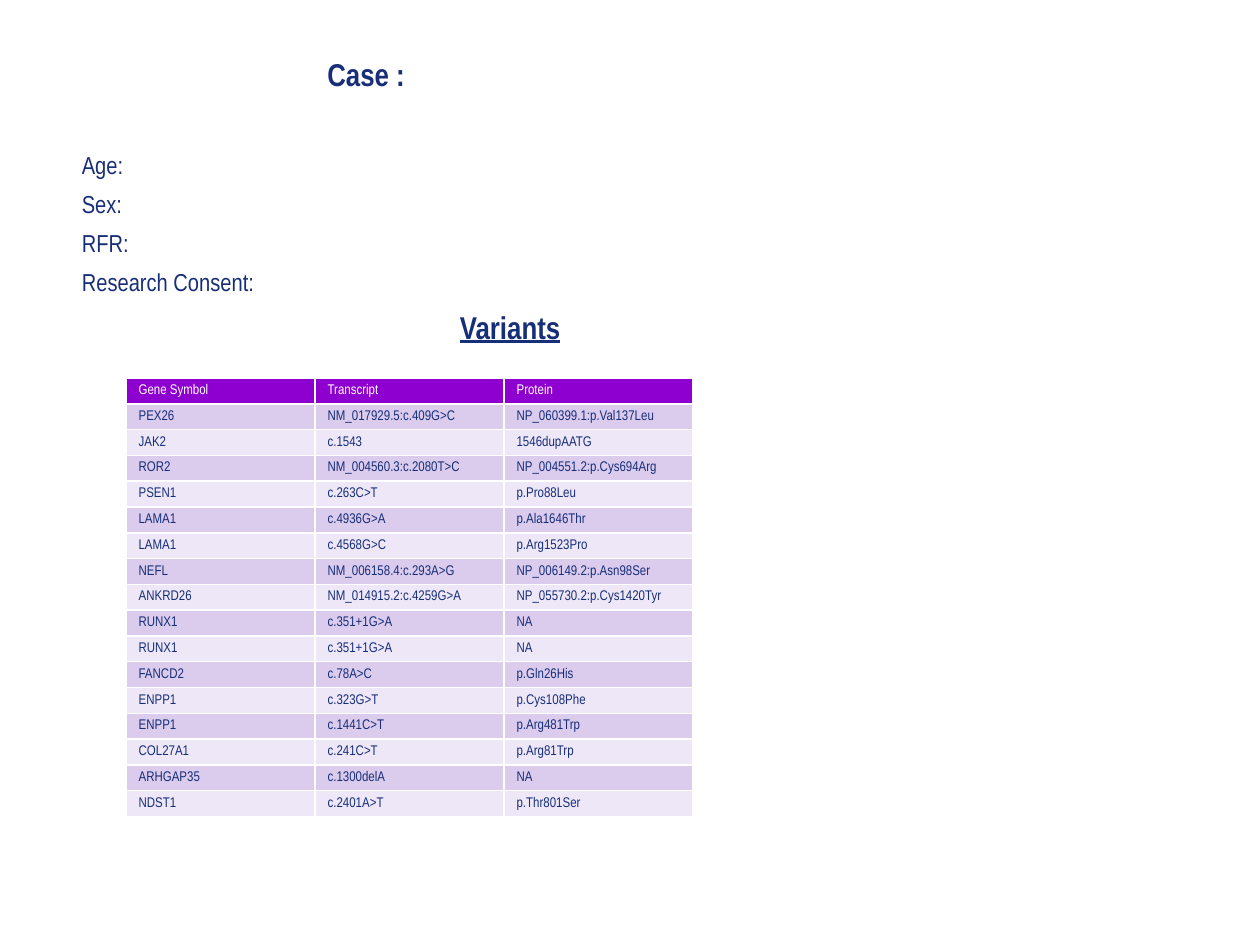
"""Build a case summary slide with a table of gene variants."""
import dataclasses

import pptx
import pptx.dml.color
import pptx.enum.text
import pptx.oxml
import pptx.oxml.ns
import pptx.util

Cm = pptx.util.Cm
Pt = pptx.util.Pt


@dataclasses.dataclass(frozen=True)
class Theme:
    font: str = "Arial Narrow"
    ink: str = "172E78"
    white: str = "FFFFFF"
    head: str = "8D00D0"
    bands: tuple = ("DBCCEE", "EEE7F7")
    big: int = 18
    mid: int = 14
    small: int = 8


THEME = Theme()
TITLE = "Case :"
FIELDS = ["Age:", "Sex:", "RFR:", "Research Consent:"]
SUBHEAD = "Variants"
HEADER = ("Gene Symbol", "Transcript", "Protein")
ROWS = [
    ("PEX26", "NM_017929.5:c.409G>C", "NP_060399.1:p.Val137Leu"),
    ("JAK2", "c.1543", "1546dupAATG"),
    ("ROR2", "NM_004560.3:c.2080T>C", "NP_004551.2:p.Cys694Arg"),
    ("PSEN1", "c.263C>T", "p.Pro88Leu"),
    ("LAMA1", "c.4936G>A", "p.Ala1646Thr"),
    ("LAMA1", "c.4568G>C", "p.Arg1523Pro"),
    ("NEFL", "NM_006158.4:c.293A>G", "NP_006149.2:p.Asn98Ser"),
    ("ANKRD26", "NM_014915.2:c.4259G>A", "NP_055730.2:p.Cys1420Tyr"),
    ("RUNX1", "c.351+1G>A", "NA"),
    ("RUNX1", "c.351+1G>A", "NA"),
    ("FANCD2", "c.78A>C", "p.Gln26His"),
    ("ENPP1", "c.323G>T", "p.Cys108Phe"),
    ("ENPP1", "c.1441C>T", "p.Arg481Trp"),
    ("COL27A1", "c.241C>T", "p.Arg81Trp"),
    ("ARHGAP35", "c.1300delA", "NA"),
    ("NDST1", "c.2401A>T", "p.Thr801Ser"),
]


def color(code):
    return pptx.dml.color.RGBColor.from_string(code)


def write(para, text, size, ink=THEME.ink, bold=False, under=False):
    run = para.add_run()
    run.text = text
    font = run.font
    font.name, font.size = THEME.font, Pt(size)
    font.bold, font.underline = bold, under
    font.color.rgb = color(ink)


def indent(para, left):
    props = para._p.get_or_add_pPr()
    props.set("marL", str(Cm(left)))
    props.set("indent", "0")


def add_box(slide, left, top, width, height):
    box = slide.shapes.add_textbox(Cm(left), Cm(top), Cm(width), Cm(height))
    box.text_frame.word_wrap = True
    return box.text_frame


def add_title(slide):
    frame = add_box(slide, 1.27, 0.76, 22.86, 1.57)
    frame.vertical_anchor = pptx.enum.text.MSO_ANCHOR.MIDDLE
    para = frame.paragraphs[0]
    para.line_spacing = 0.9
    indent(para, 5.08)
    write(para, TITLE, THEME.big, bold=True)


def add_body(slide):
    frame = add_box(slide, 1.4, 2.11, 22.86, 14.05)
    frame.margin_top = Cm(0.99)
    for num, text in enumerate(FIELDS + [SUBHEAD]):
        para = frame.add_paragraph() if num else frame.paragraphs[0]
        para.line_spacing = 0.9
        if text == SUBHEAD:
            para.space_before = Pt(9.3)
            indent(para, 7.62)
            write(para, text, THEME.big, bold=True, under=True)
        else:
            para.space_before = Pt(7 if num else 0)
            write(para, text, THEME.mid)


def edge(cell):
    props = cell._tc.get_or_add_tcPr()
    for spot, side in enumerate(("lnL", "lnR", "lnT", "lnB")):
        props.insert(spot, pptx.oxml.parse_xml(
            f'<a:{side} {pptx.oxml.ns.nsdecls("a")} w="{Pt(1)}"><a:solidFill>'
            f'<a:srgbClr val="{THEME.white}"/></a:solidFill></a:{side}>'))


def add_grid(slide):
    lines = [HEADER] + ROWS
    high, wide = Cm(0.52), Cm(3.81)
    table = slide.shapes.add_table(
        len(lines), len(HEADER), Cm(2.54), Cm(7.62),
        wide * len(HEADER), high * len(lines)).table
    for row, line in enumerate(lines):
        table.rows[row].height = high
        fill = THEME.bands[(row - 1) % 2] if row else THEME.head
        ink = THEME.ink if row else THEME.white
        for col, text in enumerate(line):
            cell = table.cell(row, col)
            cell.margin_bottom = Cm(0.05)
            cell.fill.solid()
            cell.fill.fore_color.rgb = color(fill)
            edge(cell)
            write(cell.text_frame.paragraphs[0], text, THEME.small, ink)


def main():
    deck = pptx.Presentation()
    deck.slide_width, deck.slide_height = Cm(25.4), Cm(19.05)
    slide = deck.slides.add_slide(deck.slide_layouts[6])
    add_title(slide)
    add_body(slide)
    add_grid(slide)
    deck.save("out.pptx")


if __name__ == "__main__":
    main()
